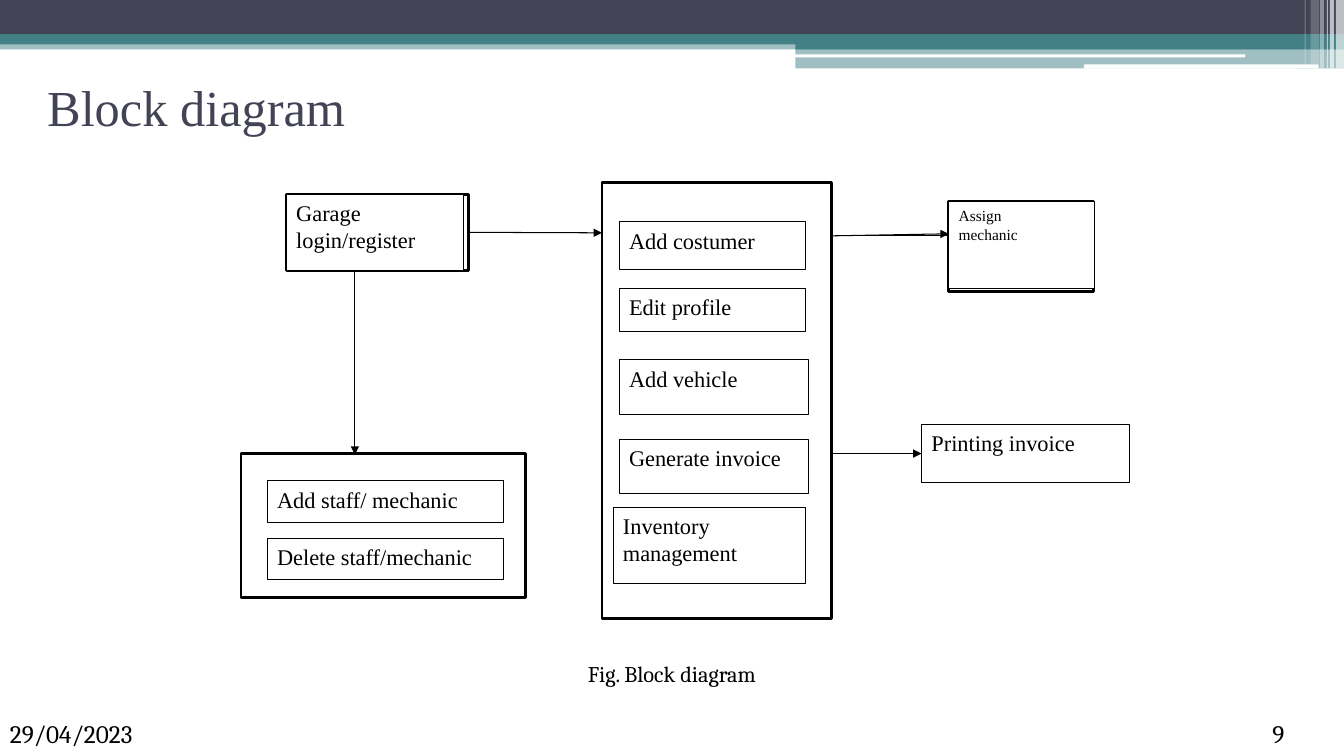
import pptx
import pptx.dml.color
import pptx.enum.shapes
import pptx.enum.text
import pptx.oxml.ns
import pptx.util
from lxml import etree

Inches = pptx.util.Inches
Pt = pptx.util.Pt
qn = pptx.oxml.ns.qn
SHAPES = pptx.enum.shapes.MSO_SHAPE
ANCHOR = pptx.enum.text.MSO_ANCHOR
ALIGN = pptx.enum.text.PP_ALIGN

COLORS = {"navy": "424456", "teal": "438086", "white": "FFFFFF", "black": "000000"}
SERIF, BODY = "Times New Roman", "Cambria"
TOP, LEFT, BOTTOM, RIGHT = 0, 1, 2, 3
FRAME_LINE, BOX_LINE, ARROW_LINE = 2, 0.5, 0.75


def rgb(name):
    return pptx.dml.color.RGBColor.from_string(COLORS[name])


def write_text(frame, text, *, size=16, font=SERIF, color="black",
               align=ALIGN.LEFT, anchor=ANCHOR.TOP):
    """Fill a text frame; each line of text becomes a paragraph."""
    frame.word_wrap = True
    frame.vertical_anchor = anchor
    frame.text = text
    for paragraph in frame.paragraphs:
        paragraph.alignment = align
        paragraph.font.size = Pt(size)
        paragraph.font.name = font
        paragraph.font.color.rgb = rgb(color)


class DiagramSlide:
    def __init__(self, presentation):
        self.shapes = presentation.slides.add_slide(presentation.slide_layouts[6]).shapes

    def band(self, left, top, width, height, color, opacity=100, rounded=False):
        """Add a borderless decorative bar, opacity in percent."""
        kind = SHAPES.ROUNDED_RECTANGLE if rounded else SHAPES.RECTANGLE
        bar = self.shapes.add_shape(kind, *map(Inches, (left, top, width, height)))
        bar.shadow.inherit = False
        bar.fill.solid()
        bar.fill.fore_color.rgb = rgb(color)
        bar.line.fill.background()
        if opacity < 100:
            fill = bar.fill._xPr.find(qn("a:solidFill"))
            etree.SubElement(fill[0], qn("a:alpha"), val=str(opacity * 1000))
        return bar

    def box(self, left, top, width, height, text="", weight=BOX_LINE, **text_format):
        block = self.band(left, top, width, height, "white")
        block.line.color.rgb = rgb("black")
        block.line.width = Pt(weight)
        if text:
            write_text(block.text_frame, text, **text_format)
        return block

    def label(self, left, top, width, height, text, **text_format):
        holder = self.shapes.add_textbox(*map(Inches, (left, top, width, height)))
        write_text(holder.text_frame, text, **text_format)

    def arrow(self, start, end, source=None, target=None):
        """Add an arrow, joined to the right of source and the left of target if given."""
        line = self.shapes.add_connector(
            pptx.enum.shapes.MSO_CONNECTOR.STRAIGHT, *map(Inches, (*start, *end)))
        if source is not None:
            line.begin_connect(source, RIGHT)
        if target is not None:
            line.end_connect(target, LEFT)
        line.line.color.rgb = rgb("black")
        line.line.width = Pt(ARROW_LINE)
        etree.SubElement(line.line._get_or_add_ln(), qn("a:tailEnd"), type="triangle")
        etree.SubElement(line._element.spPr, qn("a:effectLst"))


def draw_header(slide):
    slide.band(0, 0.4, 13.33, 0.09, "teal", 50)
    slide.band(0, 0, 13.33, 0.34, "navy")
    slide.band(0, 0.34, 13.33, 0.1, "teal")
    slide.band(7.89, 0.39, 5.44, 0.1, "teal")
    slide.band(7.89, 0.48, 5.44, 0.2, "teal", 50)
    slide.band(7.88, 0.54, 4.47, 0.03, "white", rounded=True)
    slide.band(10.75, 0.64, 2.33, 0.04, "white", rounded=True)
    for left, width, height, opacity in (
        (13.25, 0.08, 0.68, 65), (13.19, 0.04, 0.68, 65), (13.16, 0.01, 0.68, 60),
        (13.09, 0.04, 0.68, 40), (13, 0.08, 0.64, 20), (12.94, 0.01, 0.64, 30),
    ):
        slide.band(left, 0, width, height, "white", opacity)


def draw_diagram(slide):
    login = slide.box(2.84, 1.93, 1.81, 0.75, weight=FRAME_LINE)
    slide.box(2.84, 1.93, 1.76, 0.75, "Garage login/register")

    slide.box(2.39, 4.5, 2.82, 1.43, weight=FRAME_LINE)
    for row, staff_action in enumerate(("Add staff/ mechanic", "Delete staff/mechanic")):
        slide.box(2.65, 4.77 + 0.57 * row, 2.34, 0.41, staff_action)

    printing = slide.box(9.14, 4.21, 2.06, 0.58, "Printing invoice")

    slide.box(5.97, 1.81, 2.28, 4.33, weight=FRAME_LINE)
    for left, top, width, height, garage_action in (
        (6.14, 2.2, 1.85, 0.47, "Add costumer"),
        (6.14, 2.86, 1.85, 0.43, "Edit profile"),
        (6.14, 3.57, 1.88, 0.54, "Add vehicle"),
        (6.14, 4.36, 1.88, 0.54, "Generate invoice"),
        (6.08, 5.03, 1.91, 0.76, "Inventory management"),
    ):
        slide.box(left, top, width, height, garage_action)

    slide.arrow((4.65, 2.31), (5.97, 2.31), source=login)
    slide.box(9.41, 2, 1.44, 0.89, weight=FRAME_LINE)
    slide.arrow((3.52, 2.68), (3.52, 4.51))
    slide.arrow((8.28, 2.34), (9.5, 2.34))
    slide.box(9.41, 2, 1.44, 0.86, "Assign\nmechanic", size=11)
    slide.arrow((8.25, 2.34), (9.41, 2.32))
    slide.arrow((8.25, 4.5), (9.14, 4.5), target=printing)


def main():
    presentation = pptx.Presentation()
    presentation.slide_width = Inches(13.33)
    presentation.slide_height = Inches(7.5)
    slide = DiagramSlide(presentation)

    draw_header(slide)
    slide.label(0.37, 0.47, 12, 1.17, "Block diagram", size=36, color="navy",
                anchor=ANCHOR.MIDDLE)
    draw_diagram(slide)
    slide.label(0, 7.08, 2.39, 0.4, "29/04/2023", size=18, font=BODY)
    slide.label(12.52, 7.08, 0.81, 0.4, "9", size=18, font=BODY)
    slide.label(0, 6.5, 13.33, 0.37, "Fig. Block diagram", font=BODY, align=ALIGN.CENTER)

    presentation.save("out.pptx")


if __name__ == "__main__":
    main()
